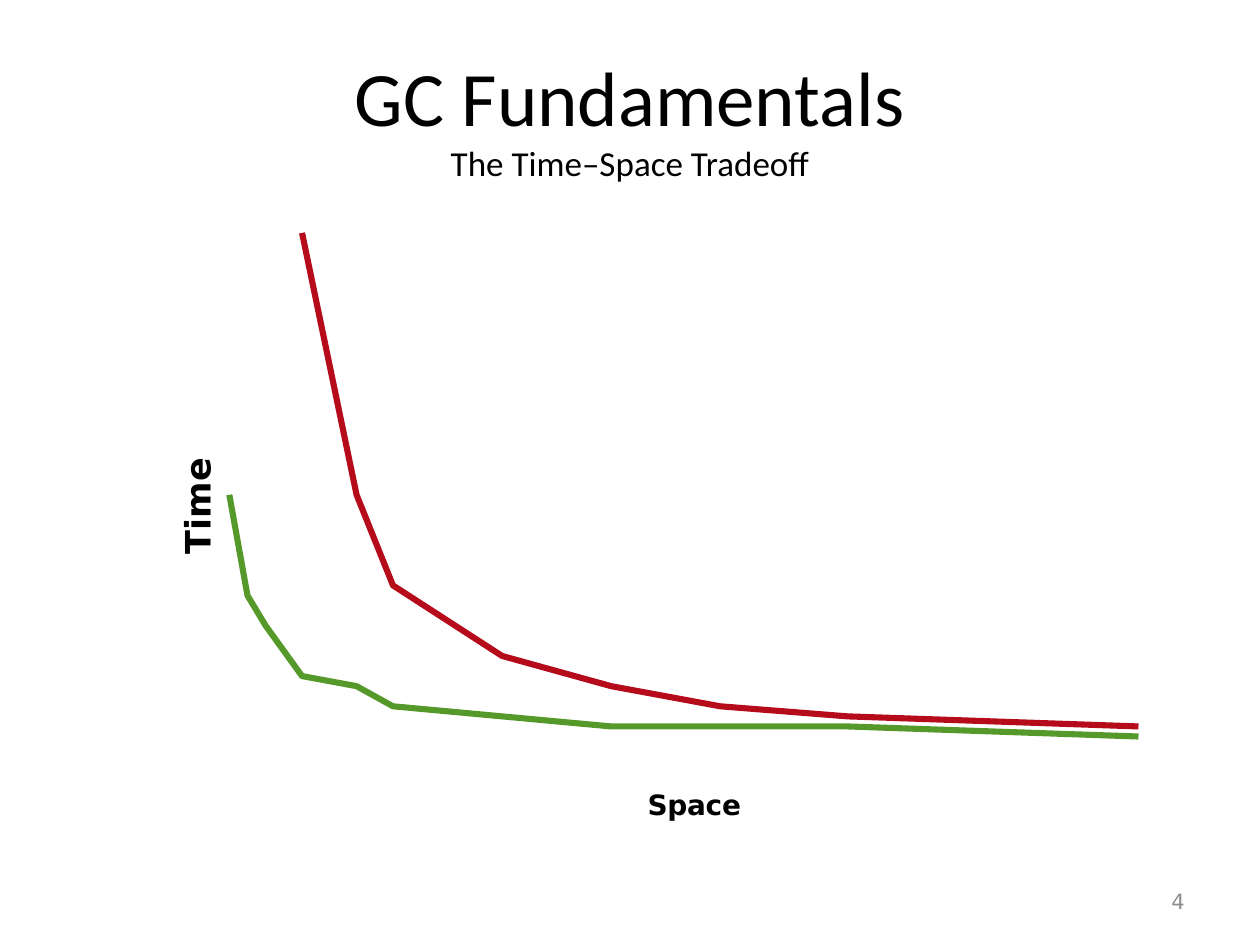
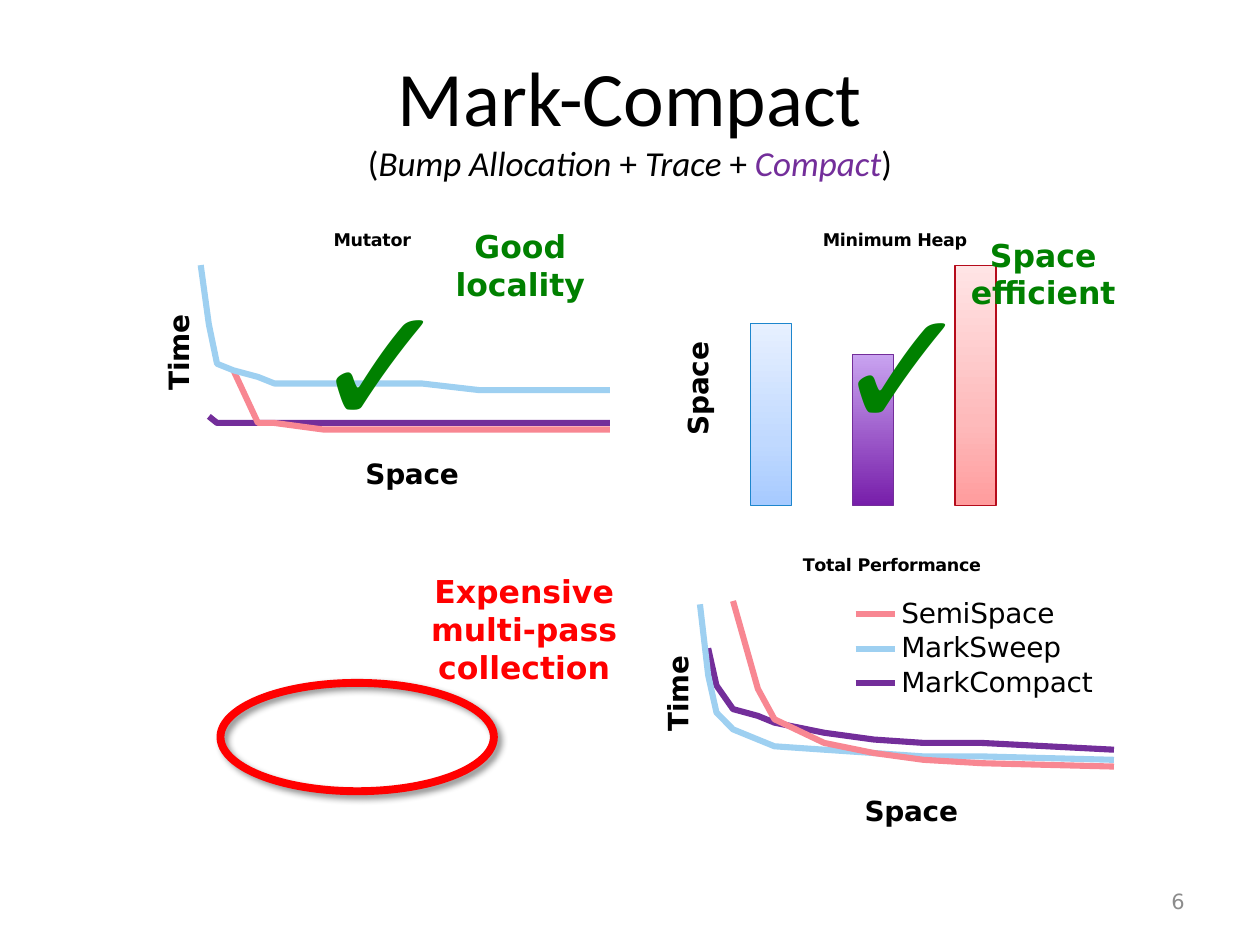
from lxml import etree
from pptx import Presentation
from pptx import util as u
from pptx.chart import data as chart_data
from pptx.dml.color import RGBColor
from pptx.enum import chart as charts, shapes, text
from pptx.oxml import ns, parse_xml

# Shared colours and fonts
BLACK = RGBColor(0x00, 0x00, 0x00)
WHITE = RGBColor(0xFF, 0xFF, 0xFF)
GREY = RGBColor(0x8C, 0x8C, 0x8C)
PURPLE = RGBColor(0x73, 0x2E, 0x9A)
PINK = RGBColor(0xF8, 0x87, 0x92)
SKY = RGBColor(0x9E, 0xD0, 0xF1)
BLUE = RGBColor(0x1D, 0x86, 0xCD)
CRIMSON = RGBColor(0xB5, 0x0B, 0x1B)
LEAF = RGBColor(0x55, 0x99, 0x2B)
GOOD = RGBColor(0x00, 0x80, 0x00)
BAD = RGBColor(0xFF, 0x00, 0x00)
HEADING = "Calibri"
SANS = "DejaVu Sans"

# Heap sizes and the times measured at each of them
SPACE = [1, 1.1, 1.2, 1.4, 1.7, 1.9, 2.5, 3.1, 3.7, 4.4, 6]
SEMI_TOTAL = [None, None, None, 100, 74, 65, 58, 55, 53, 52, 51]
BAR_FILLS = [
    (BLUE, [(0, "A6CAFF"), (35, "C0D9FF"), (100, "E7F0FF")]),
    (PURPLE, [(0, "771EAA"), (100, "C9A3F0")]),
    (CRIMSON, [(0, "FF9C9D"), (35, "FEBABB"), (100, "FFE4E5")]),
]
CHART_SIZE = (3.96, 2.39)

A_NS = ns.nsdecls("a")
SHADOW = (f'<a:effectLst {A_NS}><a:outerShdw blurRad="50800" dist="38100" dir="2700000">'
          '<a:srgbClr val="000000"><a:alpha val="43000"/></a:srgbClr>'
          '</a:outerShdw></a:effectLst>')


# Text
def add_span(para, content, size=18, color=BLACK, font=SANS, bold=False,
             italic=False, shadow=False):
    span = para.add_run()
    span.text = content
    style = span.font
    style.size, style.name = u.Pt(size), font
    style.bold, style.italic = bold, italic
    style.color.rgb = color
    if shadow:
        fill = span._r.rPr.find(ns.qn("a:solidFill"))
        fill.addnext(parse_xml(SHADOW))


def add_text(parent, lines, area, align=text.PP_ALIGN.CENTER, wrap=True,
             anchor=text.MSO_ANCHOR.TOP, **style):
    box = parent.shapes.add_textbox(*map(u.Inches, area))
    frame = box.text_frame
    frame.word_wrap, frame.vertical_anchor = wrap, anchor
    for number, line in enumerate(lines):
        para = frame.add_paragraph() if number else frame.paragraphs[0]
        para.alignment = align
        add_span(para, line, **style)


def add_page(deck, title, subtitle, number):
    page = deck.slides.add_slide(deck.slide_layouts[5])
    heading = page.shapes.title
    heading.left, heading.top, heading.width, heading.height = map(
        u.Inches, (0.5, 0.3, 9, 1.25))
    frame = heading.text_frame
    frame.auto_size = text.MSO_AUTO_SIZE.NONE
    frame.vertical_anchor = text.MSO_ANCHOR.MIDDLE
    para = frame.paragraphs[0]
    para.alignment = text.PP_ALIGN.CENTER
    add_span(para, title, size=44, font=HEADING)
    para.add_line_break()
    for content, style in subtitle:
        add_span(para, content, size=20, font=HEADING, **style)
    add_text(page, [str(number)], (7.17, 6.95, 2.33, 0.4), size=12, color=GREY,
             align=text.PP_ALIGN.RIGHT, anchor=text.MSO_ANCHOR.MIDDLE)
    return page


# Charts
def place(element, *area, inner=False):
    """Give a chart part a fixed place, in fractions of the chart."""
    for old in element.findall(ns.qn("c:layout")):
        element.remove(old)
    layout = etree.Element(ns.qn("c:layout"))
    manual = etree.SubElement(layout, ns.qn("c:manualLayout"))
    settings = [("layoutTarget", "inner")] if inner else []
    settings += [("xMode", "edge"), ("yMode", "edge")]
    settings += zip("xywh", map(str, area))
    for tag, value in settings:
        etree.SubElement(manual, ns.qn(f"c:{tag}")).set("val", value)
    tags = [child.tag for child in element]
    before = [tags.index(ns.qn(t)) for t in ("c:tx", "c:legendPos") if ns.qn(t) in tags]
    element.insert(before[0] + 1 if before else 0, layout)


def set_title(title, content, size, spot, upright=False):
    frame = title.text_frame
    add_span(frame.paragraphs[0], content, size=size, bold=True)
    if upright:
        frame._txBody.bodyPr.set("rot", "-5400000")
        frame._txBody.bodyPr.set("vert", "horz")
    place(title._element, *spot)


def add_chart(page, kind, data, area, plot, scale, title=None, title_spot=None):
    chart = page.shapes.add_chart(kind, *map(u.Inches, area), data).chart
    chart.font.size, chart.font.name = u.Pt(20), SANS
    chart.font.color.rgb = BLACK
    chart.has_legend = False
    chart.has_title = title is not None
    if title:
        set_title(chart.chart_title, title, 10, title_spot)
        chart._chartSpace.chart.addnext(parse_xml(
            f'<c:spPr {ns.nsdecls("c", "a")}><a:solidFill><a:srgbClr val="{WHITE}"/>'
            '</a:solidFill><a:ln><a:noFill/></a:ln></c:spPr>'))
    for axis in (chart.category_axis, chart.value_axis):
        axis.has_major_gridlines = False
        axis.visible = False
    chart.value_axis.minimum_scale, chart.value_axis.maximum_scale = scale
    chart.plots[0].vary_by_categories = False
    place(chart._chartSpace.chart.plotArea, *plot, inner=True)
    return chart


def add_curves(page, curves, area, plot, scale, time_spot, space_spot,
               time_size=16, **heading):
    data = chart_data.XyChartData()
    for name, _, times in curves:
        series = data.add_series(name)
        for space, time in zip(SPACE, times):
            series.add_data_point(space, time)
    chart = add_chart(page, charts.XL_CHART_TYPE.XY_SCATTER_LINES_NO_MARKERS,
                      data, area, plot, scale, **heading)
    # Heap sizes too small to run have no point
    for value in list(chart._chartSpace.iter(ns.qn("c:v"))):
        if value.text == "None":
            point = value.getparent()
            point.getparent().remove(point)
    chart.category_axis.minimum_scale, chart.category_axis.maximum_scale = 1, 6
    set_title(chart.category_axis.axis_title, "Space", 16, space_spot)
    set_title(chart.value_axis.axis_title, "Time", time_size, time_spot, upright=True)
    for series, (_, color, _) in zip(chart.plots[0].series, curves):
        series.smooth = False
        series.format.line.width = u.Pt(3.5)
        series.format.line.color.rgb = color
    return chart


def add_heap_bars(page, area):
    data = chart_data.CategoryChartData()
    data.categories = ["1", "2", "3", "4"]
    data.add_series("Series 1", [76, 63, 100, 65])
    chart = add_chart(page, charts.XL_CHART_TYPE.COLUMN_CLUSTERED, data, area,
                      (0.16, 0.16, 0.82, 0.82), (0, 103),
                      title="Minimum Heap", title_spot=(0.36, 0.05))
    chart.font.size = u.Pt(18)
    set_title(chart.value_axis.axis_title, "Space", 16, (0.07, 0.42), upright=True)
    chart.plots[0].gap_width = 150
    series = chart.plots[0].series[0]
    series.format.fill.solid()
    series.format.fill.fore_color.rgb = BLUE
    for index, (outline, stops) in enumerate(BAR_FILLS):
        look = series.points[index].format
        look.line.color.rgb = outline
        look.line.width = u.Pt(0.75)
        marks = "".join(f'<a:gs pos="{at * 1000}"><a:srgbClr val="{color}"/></a:gs>'
                        for at, color in stops)
        look.line._ln.addprevious(parse_xml(
            f'<a:gradFill {A_NS}><a:gsLst>{marks}</a:gsLst>'
            '<a:lin ang="16200000" scaled="0"/></a:gradFill>'))
    hidden = series.points[3].format
    hidden.fill.background()
    hidden.line.fill.background()


# Verdicts laid over the charts
def add_praise(page, lines, check_spot, label_spot):
    group = page.shapes.add_group_shape()
    add_text(group, ["✓"], (*check_spot, 1.22, 1.72), size=96, color=GOOD, font="Arial",
             align=text.PP_ALIGN.LEFT, wrap=False, shadow=True)
    add_text(group, lines, (*label_spot, 1.56, 0.71), color=GOOD, bold=True, shadow=True)


def add_warning(page):
    group = page.shapes.add_group_shape()
    ring = group.shapes.add_shape(shapes.MSO_SHAPE.OVAL,
                                  *map(u.Inches, (1.75, 5.42, 2.17, 0.86)))
    ring.fill.background()
    ring.line.color.rgb, ring.line.width = BAD, u.Pt(4.5)
    ring.line._ln.addnext(parse_xml(SHADOW))
    add_text(group, ["Expensive multi-pass collection"], (3.15, 4.49, 2.02, 1.01),
             color=BAD, bold=True, shadow=True)


# Slides
def add_tradeoff(deck):
    page = add_page(deck, "GC Fundamentals", [("The Time–Space Tradeoff", {})], 4)
    curves = [
        ("Series 1", CRIMSON, SEMI_TOTAL),
        ("Series 2", LEAF, [74, 64, 61, 56, 55, 53, 52, 51, 51, 51, 50]),
    ]
    add_curves(page, curves, (1, 1.75, 8.2, 4.95), (0.1, 0.02, 0.88, 0.84), (48, 100),
               time_spot=(0.04, 0.37), space_spot=(0.5, 0.9), time_size=20)


def add_mark_compact(deck):
    slanted = {"italic": True}
    page = add_page(deck, "Mark-Compact", [
        ("(", {}), ("Bump Allocation ", slanted), ("+ ", {}), ("Trace", slanted),
        (" + ", {}), ("Compact", {"italic": True, "color": PURPLE}), (")", {})], 6)
    mutator = [
        ("Series 1", SKY, [100, 91, 85, 84, 83, 82, 82, 82, 82, 81, 81]),
        ("Series 2", PINK, [None, None, None, 84, 76, 76, 75, 75, 75, 75, 75]),
        ("Series 3", PURPLE, [None, 77] + [76] * 9),
    ]
    total = [
        ("SemiSpace", PINK, SEMI_TOTAL),
        ("MarkSweep", SKY, [99, 78, 67, 62, 59, 57, 56, 55, 54, 54, 53]),
        ("MarkCompact", PURPLE, [None, 86, 75, 68, 66, 64, 61, 59, 58, 58, 56]),
    ]
    add_curves(page, mutator, (0.96, 1.67, *CHART_SIZE), (0.16, 0.16, 0.82, 0.59),
               (74, 101), time_spot=(0.07, 0.33), space_spot=(0.48, 0.8),
               title="Mutator", title_spot=(0.42, 0.05))
    add_heap_bars(page, (5.08, 1.67, *CHART_SIZE))
    add_praise(page, ["Good", "locality"], (2.37, 2), (3.35, 1.75))
    add_praise(page, ["Space efficient"], (6.52, 2.03), (7.5, 1.82))
    add_warning(page)
    chart = add_curves(page, total, (5.08, 4.25, *CHART_SIZE), (0.12, 0.22, 0.83, 0.59),
                       (48, 100), time_spot=(0.03, 0.39), space_spot=(0.44, 0.85),
                       title="Total Performance", title_spot=(0.32, 0.05))
    chart.has_legend = True
    legend = chart.legend
    legend.position = charts.XL_LEGEND_POSITION.CORNER
    legend.include_in_layout = False
    legend.font.size, legend.font.name = u.Pt(16), SANS
    place(legend._element, 0.42, 0.2, 0.5, 0.36)


def main():
    deck = Presentation()
    deck.slide_width, deck.slide_height = u.Inches(10), u.Inches(7.5)
    add_tradeoff(deck)
    add_mark_compact(deck)
    deck.save("out.pptx")


if __name__ == "__main__":
    main()
